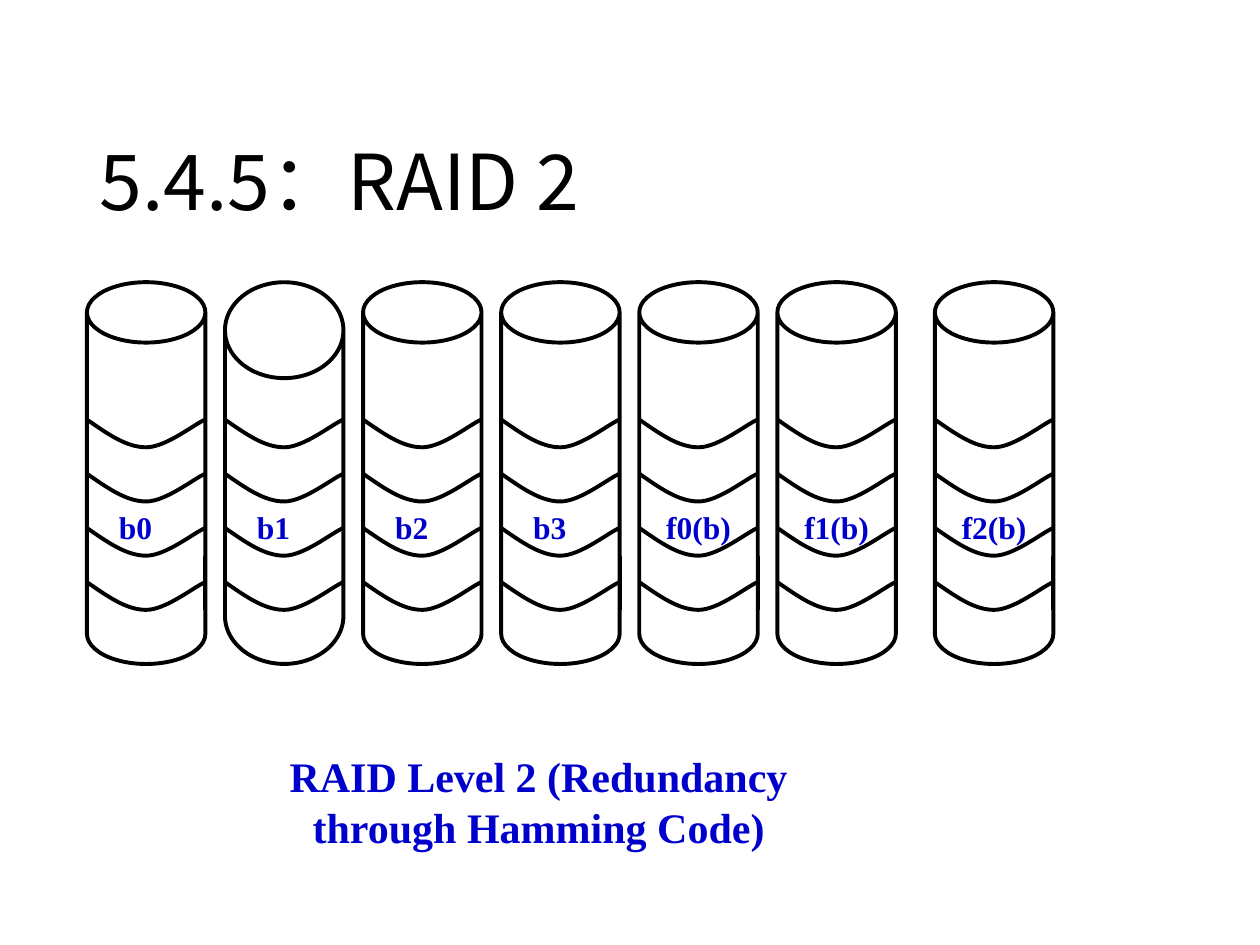
from lxml import etree
from pptx import Presentation
from pptx.dml.color import RGBColor
from pptx.enum import shapes, text
from pptx.oxml.ns import qn
from pptx.util import Inches, Pt

BLACK, WHITE, BLUE = "000000", "FFFFFF", "0000CC"
SERIF, SANS = "Times New Roman", "Noto Sans CJK SC"
DISK_W, DISK_H = 0.94, 3.03
PLATE_W, PLATE_H = 0.63, 0.43


def tint(hue):
    return RGBColor.from_string(hue)


def draw_line(shape, hue=BLACK):
    shape.line.color.rgb = tint(hue)
    shape.line.width = Pt(2.25)


def add_solid(parts, kind, left, top, width, height, edge):
    shape = parts.add_shape(kind, Inches(left), Inches(top), Inches(width), Inches(height))
    shape.shadow.inherit = False
    shape.fill.solid()
    shape.fill.fore_color.rgb = tint(WHITE)
    draw_line(shape, edge)
    return shape


def style_text(par, size):
    par.font.name = SERIF
    par.font.size = Pt(size)
    par.font.bold = True
    par.font.color.rgb = tint(BLUE)


def bend_path(shape):
    """Turn each three line segments of a freeform into one cubic curve."""
    path = shape._element.find(".//" + qn("a:path"))
    legs = path.findall(qn("a:lnTo"))
    for first in range(0, len(legs), 3):
        curve = etree.SubElement(path, qn("a:cubicBezTo"))
        for leg in legs[first:first + 3]:
            curve.append(leg[0])
            path.remove(leg)


def add_stripe(parts, left, top):
    points = [(0.16, 0.11), (0.31, 0.22), (0.47, 0.22),
              (0.63, 0.22), (0.86, 0.03), (DISK_W, 0)]
    pen = parts.build_freeform(Inches(left), Inches(top))
    pen.add_line_segments([(Inches(left + x), Inches(top + y)) for x, y in points], close=False)
    stripe = pen.convert_to_shape()
    bend_path(stripe)
    stripe.shadow.inherit = False
    stripe.fill.background()
    draw_line(stripe)


def add_disk(slide, left, top, label, bend, centred):
    parts = slide.shapes.add_group_shape().shapes
    can = add_solid(parts, shapes.MSO_SHAPE.CAN, left, top, DISK_W, DISK_H, BLACK)
    can.adjustments[0] = bend

    plate = add_solid(parts, shapes.MSO_SHAPE.RECTANGLE, left + (DISK_W - PLATE_W) / 2,
                      top + 1.74, PLATE_W, PLATE_H, WHITE)
    frame = plate.text_frame
    frame.vertical_anchor = text.MSO_ANCHOR.TOP
    frame.word_wrap = True
    par = frame.paragraphs[0]
    par.text = label
    par.alignment = text.PP_ALIGN.LEFT
    if centred:
        par.alignment = text.PP_ALIGN.CENTER
        frame.margin_left = frame.margin_right = 0
    style_text(par, 18)

    for row in range(4):
        add_stripe(parts, left, top + 1.09 + row * 0.43)

    right = Inches(left + DISK_W)
    edge = parts.add_connector(shapes.MSO_CONNECTOR.STRAIGHT, right, Inches(top + 2.17),
                               right, Inches(top + 2.6))
    draw_line(edge)
    etree.SubElement(edge._element.spPr, qn("a:effectLst"))


def add_disks(slide, left, top):
    labels = ["b0", "b1", "b2", "b3", "f0(b)", "f1(b)", "f2(b)"]
    pitch = 5.48 / 5
    for col, label in enumerate(labels):
        x = left + col * pitch
        if col == len(labels) - 1:
            x = left + 6.73
        bend = 0.81 if label == "b1" else 0.51
        add_disk(slide, x, top, label, bend, label.startswith("f"))


def add_title(slide, left, top, width, height):
    title = slide.shapes.title
    title.left, title.top = Inches(left), Inches(top)
    title.width, title.height = Inches(width), Inches(height)
    frame = title.text_frame
    frame.vertical_anchor = text.MSO_ANCHOR.BOTTOM
    par = frame.paragraphs[0]
    par.alignment = text.PP_ALIGN.LEFT
    par.line_spacing = 0.9
    run = par.add_run()
    run.text = "5.4.5：RAID 2"
    run.font.name = SANS
    run.font.size = Pt(44)
    run.font.color.rgb = tint(BLACK)
    etree.SubElement(run.font._element, qn("a:ea")).set("typeface", SANS)


def add_caption(slide, left, top, width, height):
    box = slide.shapes.add_textbox(Inches(left), Inches(top), Inches(width), Inches(height))
    box.text_frame.word_wrap = True
    par = box.text_frame.paragraphs[0]
    par.text = "RAID Level 2 (Redundancy through Hamming Code)"
    par.alignment = text.PP_ALIGN.CENTER
    style_text(par, 24)


def main():
    deck = Presentation()
    deck.slide_width, deck.slide_height = Inches(10), Inches(7.5)
    slide = deck.slides.add_slide(deck.slide_layouts[5])
    add_title(slide, 0.69, 0.4, 8.62, 1.45)
    add_disks(slide, 0.69, 2.24)
    add_caption(slide, 2.11, 5.91, 4.33, 0.92)
    deck.save("out.pptx")


if __name__ == "__main__":
    main()
